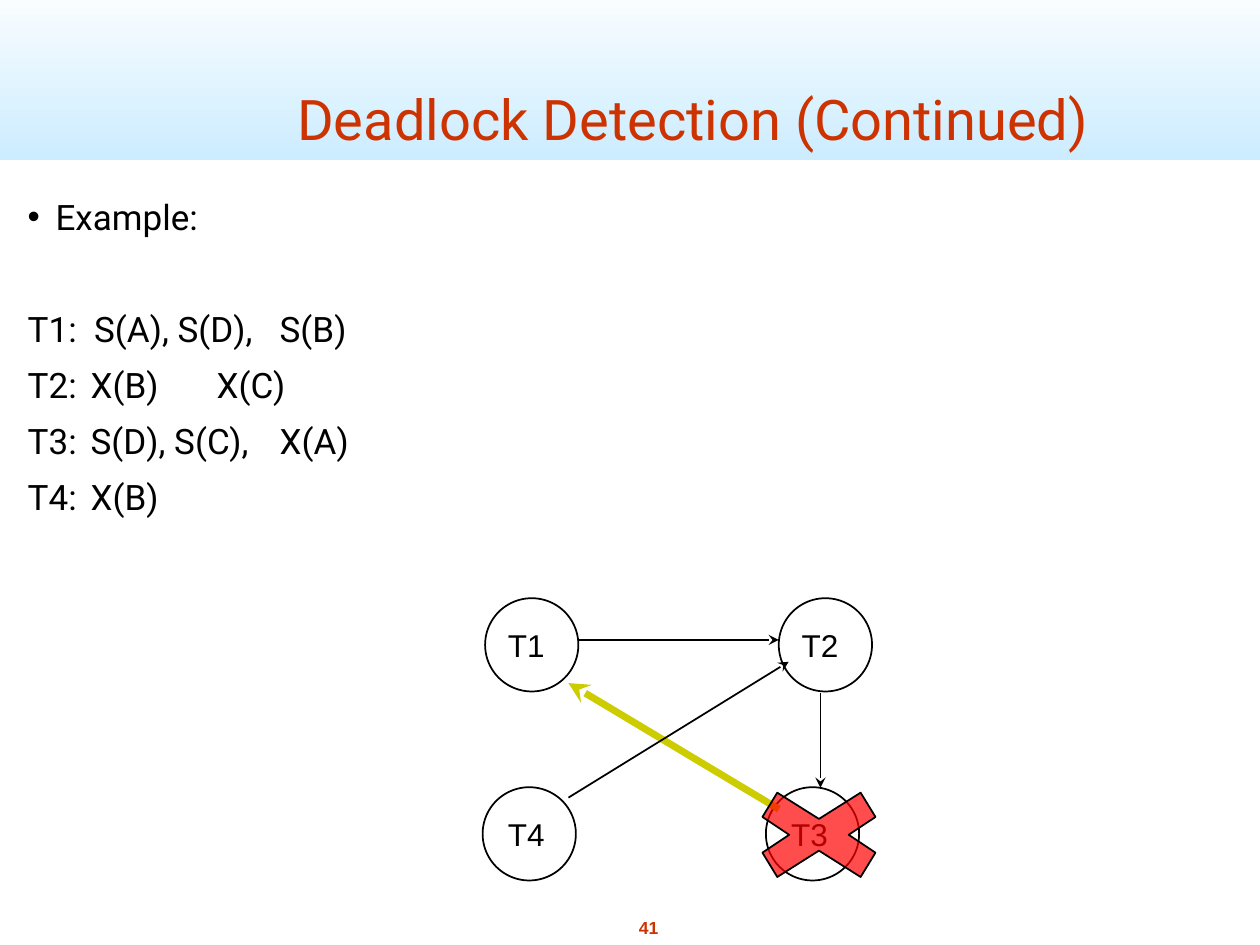
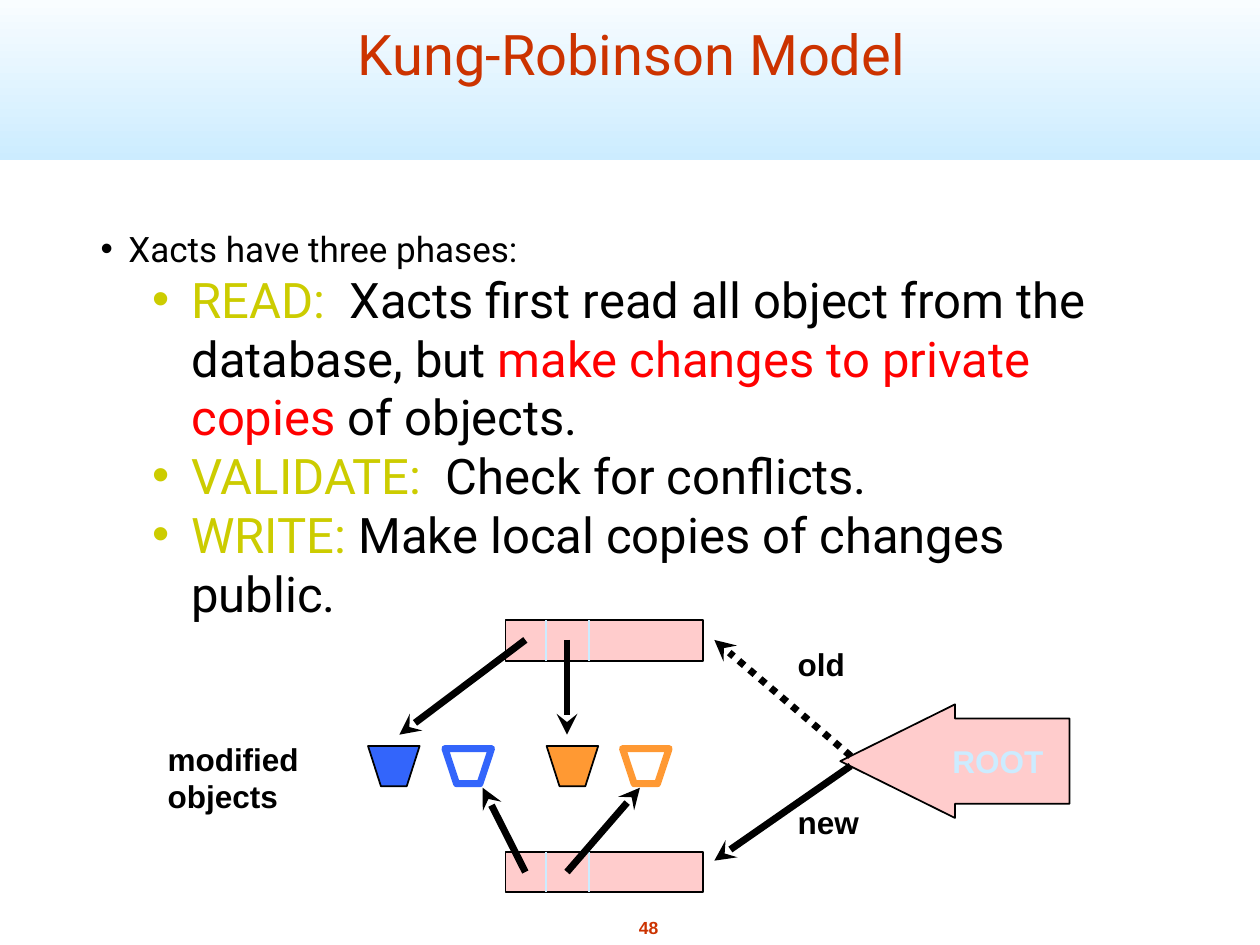
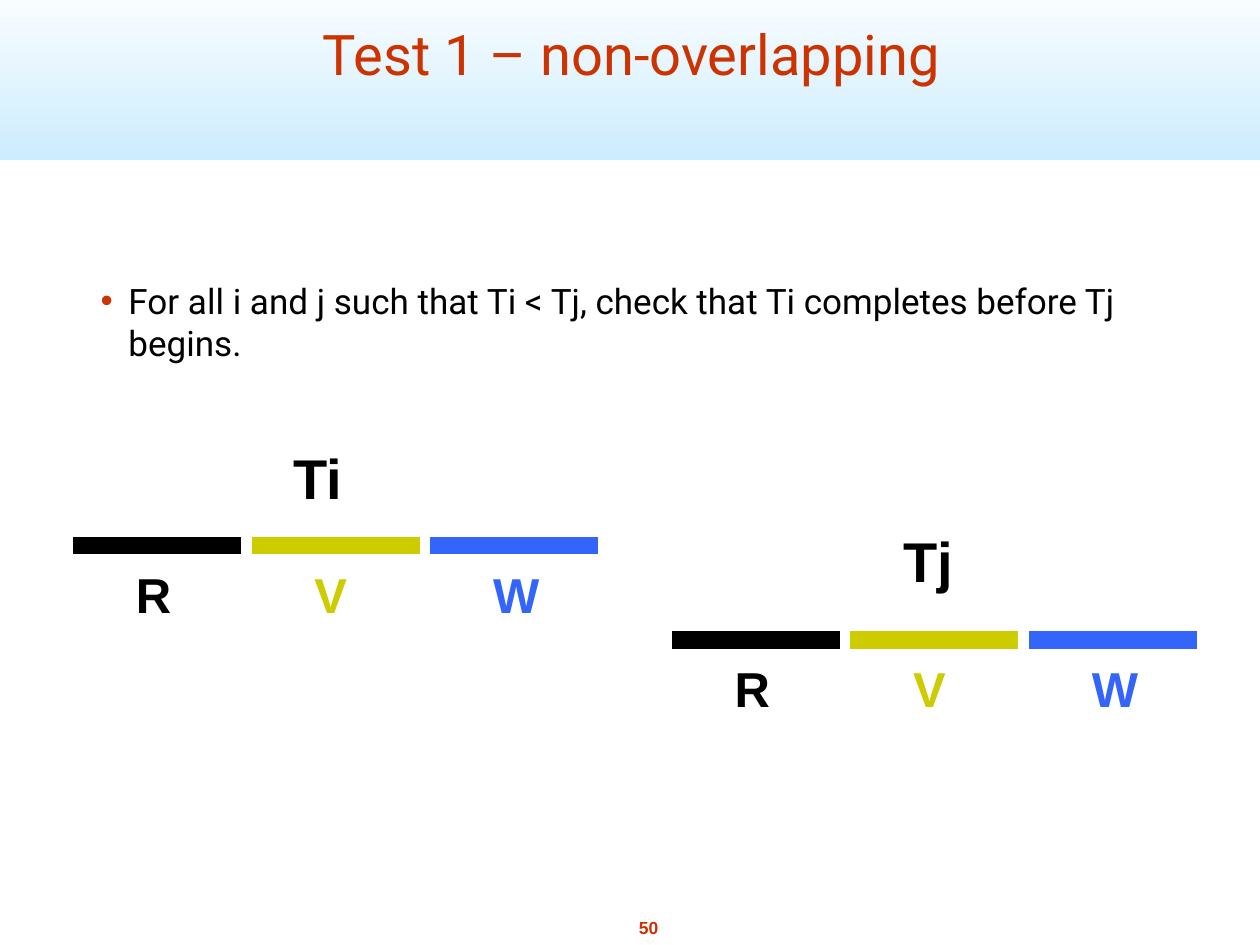
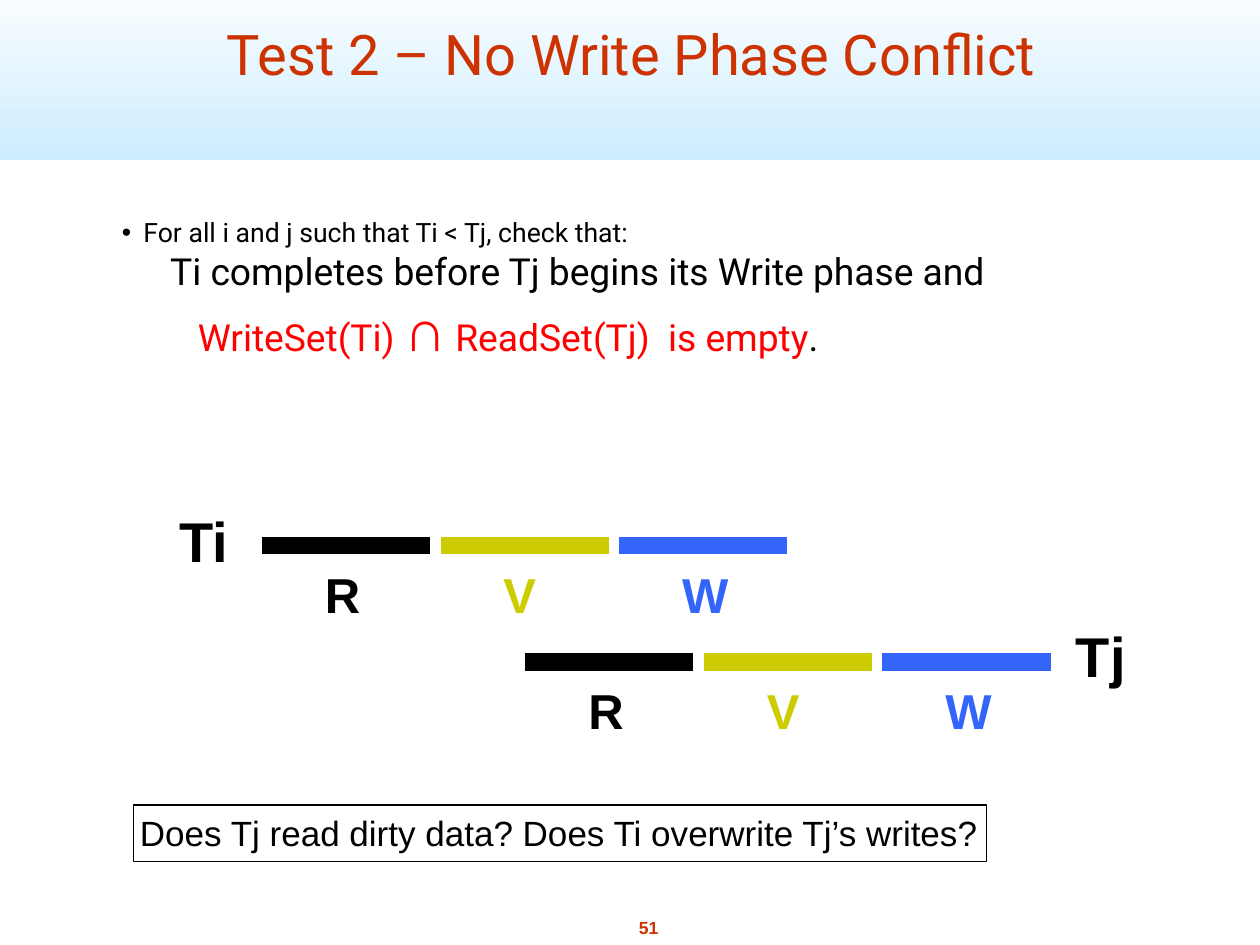
from lxml import etree
from pptx import Presentation
from pptx import util as u
from pptx.dml.color import RGBColor
from pptx.enum import dml, shapes, text
from pptx.oxml import ns

Cm, Pt = u.Cm, u.Pt
COLORS = {
    "black": "000000", "white": "FFFFFF", "title": "CC3300", "sky": "CCECFF",
    "yellow": "CCCC00", "red": "FF0000", "blue": "3365FB", "orange": "FF9933",
    "pink": "FFCCCC",
}
HEADING_FONT, LABEL_FONT = "Roboto", "Arial"
INSET = Cm(0.13)
TITLE_BOX = (1.52, 0.18, 22.43, 1.7)
LABEL_HEIGHT = 1.02


def rgb(name):
    """Return the named colour."""
    return RGBColor.from_string(COLORS[name])


def add_child(parent, tag, **attributes):
    """Append a DrawingML element to parent."""
    return etree.SubElement(parent, ns.qn(tag), attributes)


def style_font(font, color=None, size=None, name=None, bold=None):
    """Set those font properties that are given."""
    if color:
        font.color.rgb = rgb(color)
    if size:
        font.size = Pt(size)
    if name:
        font.name = name
    if bold is not None:
        font.bold = bold


def style_shape(shape, fill=None, line=None, width=1):
    """Give a shape a flat fill and outline; None means none."""
    shape.shadow.inherit = False
    if fill:
        shape.fill.solid()
        shape.fill.fore_color.rgb = rgb(fill)
    else:
        shape.fill.background()
    if line:
        shape.line.color.rgb = rgb(line)
        shape.line.width = Pt(width)
    else:
        shape.line.fill.background()


def add_preset(slide, kind, box, **style):
    """Add a styled preset shape in box."""
    shape = slide.shapes.add_shape(kind, *map(Cm, box))
    style_shape(shape, **style)
    return shape


def add_outline(slide, points, **style):
    """Add a closed polygon through points."""
    points = [(Cm(x), Cm(y)) for x, y in points]
    builder = slide.shapes.build_freeform(*points[0])
    builder.add_line_segments(points[1:], close=True)
    shape = builder.convert_to_shape()
    style_shape(shape, **style)
    return shape


def add_line(slide, start, end, color="black", width=1, arrow=False, dash=None):
    """Draw a straight line, with an arrowhead at its end if wanted."""
    connector = slide.shapes.add_connector(
        shapes.MSO_CONNECTOR.STRAIGHT, *map(Cm, (*start, *end)))
    connector.line.color.rgb = rgb(color)
    connector.line.width = Pt(width)
    if dash:
        connector.line.dash_style = dash
    properties = connector.element.spPr
    if arrow:
        add_child(properties.find(ns.qn("a:ln")), "a:tailEnd", type="stealth")
    add_child(properties, "a:effectLst")


def set_frame(frame, wrap=True, anchor=text.MSO_ANCHOR.TOP):
    """Set insets, wrapping and anchor of a text frame."""
    frame.margin_left = frame.margin_right = INSET
    frame.margin_top = frame.margin_bottom = INSET
    frame.word_wrap = wrap
    frame.vertical_anchor = anchor
    frame.auto_size = (text.MSO_AUTO_SIZE.NONE if wrap
                       else text.MSO_AUTO_SIZE.SHAPE_TO_FIT_TEXT)


def fill_paragraph(paragraph, runs, before=0, left=0, first=0, bullet=None,
                   tabs=(), align=text.PP_ALIGN.LEFT, **font):
    """Write runs, each a string or (string, font changes), in one paragraph."""
    paragraph.alignment = align
    paragraph.space_before = Pt(before)
    properties = paragraph._p.get_or_add_pPr()
    properties.set("marL", str(Cm(left)))
    properties.set("indent", str(Cm(first)))
    if bullet:
        add_child(add_child(properties, "a:buClr"), "a:srgbClr", val=COLORS[bullet])
        add_child(properties, "a:buFont", typeface=LABEL_FONT)
        add_child(properties, "a:buChar", char="\u2022")
    else:
        add_child(properties, "a:buNone")
    if tabs:
        stops = add_child(properties, "a:tabLst")
        for stop in tabs:
            add_child(stops, "a:tab", pos=str(Cm(stop)), algn="l")
    style_font(paragraph.font, **font)
    for item in runs:
        words, changes = (item, {}) if isinstance(item, str) else item
        run = paragraph.add_run()
        run.text = words
        style_font(run.font, **changes)


def add_body(slide, box, paragraphs):
    """Add wrapped body text; each paragraph is (runs, settings)."""
    frame = slide.shapes.add_textbox(*map(Cm, box)).text_frame
    set_frame(frame)
    for index, (runs, settings) in enumerate(paragraphs):
        paragraph = frame.add_paragraph() if index else frame.paragraphs[0]
        fill_paragraph(paragraph, runs, **{
            "name": HEADING_FONT, "size": 20, "color": "black", **settings})


def add_label(slide, box, *lines, color="black", size=18, bold=True, **settings):
    """Add a short label that does not wrap."""
    frame = slide.shapes.add_textbox(*map(Cm, box)).text_frame
    set_frame(frame, wrap=False)
    for index, line in enumerate(lines):
        paragraph = frame.add_paragraph() if index else frame.paragraphs[0]
        fill_paragraph(paragraph, [line], color=color, size=size,
                       name=LABEL_FONT, bold=bold, **settings)


def add_frame_slide(presentation, title, number, title_box=TITLE_BOX):
    """Add a slide with its gradient band, number and title."""
    slide = presentation.slides.add_slide(presentation.slide_layouts[6])
    band = add_preset(slide, shapes.MSO_SHAPE.RECTANGLE, (0, -0.43, 25.4, 3.66))
    band.fill.gradient()
    band.fill.gradient_angle = 90
    for stop, position, color in zip(band.fill.gradient_stops, (0, 1), ("sky", "white")):
        stop.position = position
        stop.color.rgb = rgb(color)
    add_label(slide, (12.73, 18.36, 0.69, 0.69), str(number), color="title",
              size=10, before=6, align=text.PP_ALIGN.CENTER)
    frame = slide.shapes.add_textbox(*map(Cm, title_box)).text_frame
    set_frame(frame, anchor=text.MSO_ANCHOR.BOTTOM)
    fill_paragraph(frame.paragraphs[0], [title], align=text.PP_ALIGN.CENTER,
                   color="title", size=32, name=HEADING_FONT)
    return slide


def add_cross(slide, center):
    """Draw a translucent red cross around center."""
    x, y = center
    right = [(0, -0.32), (0.84, -0.85), (1.14, -0.36), (0.6, 0),
             (1.14, 0.36), (0.84, 0.85)]
    offsets = right + [(-dx, -dy) for dx, dy in right]
    cross = add_outline(slide, [(x + dx, y + dy) for dx, dy in offsets],
                        fill="red", line="black")
    color = cross.element.spPr.find(ns.qn("a:solidFill"))[0]
    add_child(color, "a:alpha", val="70000")


def add_waits_for_graph(slide, left, top):
    """Draw the transactions, who waits for whom, and the aborted one."""
    diameter, lower = 1.88, 3.81
    nodes = [("T1", 0.08, 0, 0.41), ("T2", 6.0, 0, 6.33),
             ("T4", 0.03, lower, 0.41), ("T3", 5.74, lower, 6.12)]
    for _, x, y, _ in nodes:
        add_preset(slide, shapes.MSO_SHAPE.OVAL,
                   (left + x, top + y, diameter, diameter), line="black")
    for name, _, y, label_x in nodes:
        add_label(slide, (left + label_x, top + y + 0.43, 1.02, LABEL_HEIGHT),
                  name, bold=False)
    waits = [((1.98, 0.84), (6.0, 0.84), "black", 1),
             ((6.84, 1.91), (6.84, 3.82), "black", 1),
             ((6.0, 4.25), (1.76, 1.71), "yellow", 4),
             ((1.76, 4.02), (6.2, 1.28), "black", 1)]
    for (x1, y1), (x2, y2), color, width in waits:
        add_line(slide, (left + x1, top + y1), (left + x2, top + y2),
                 color, width, arrow=True)
    add_cross(slide, (left + 6.81, top + 4.77))


def add_record(slide, left, top):
    """Draw a page directory with two dividers."""
    height = 0.82
    add_preset(slide, shapes.MSO_SHAPE.RECTANGLE, (left, top, 3.99, height),
               fill="pink", line="black")
    for offset in (0.82, 1.68):
        add_line(slide, (left + offset, top), (left + offset, top + height), "sky")


def add_bucket(slide, box, **style):
    """Draw an object as a trapezoid that narrows downward."""
    left, top, width, height = box
    inset = width / 4
    add_outline(slide, [(left, top), (left + inset, top + height),
                        (left + width - inset, top + height),
                        (left + width, top)], **style)


def add_versions(slide, left, top):
    """Draw the root with its old and new directories and their objects."""
    for y in (0, 4.67):
        add_record(slide, left + 6.94, top + y)
    for color, solid_x, open_x in (("blue", 4.17, 5.72), ("orange", 7.77, 9.3)):
        add_bucket(slide, (left + solid_x, top + 2.54, 1.04, 0.81),
                   fill=color, line="black")
        add_bucket(slide, (left + open_x, top + 2.59, 0.94, 0.71),
                   line=color, width=4)
    root = add_preset(slide, shapes.MSO_SHAPE.LEFT_ARROW,
                      (left + 13.69, top + 1.7, 4.62, 2.29),
                      fill="pink", line="black")
    root.adjustments[0], root.adjustments[1] = 0.75, 1.01
    set_frame(root.text_frame, anchor=text.MSO_ANCHOR.MIDDLE)
    fill_paragraph(root.text_frame.paragraphs[0], ["ROOT"], color="sky", size=18,
                   name=LABEL_FONT, bold=True, align=text.PP_ALIGN.CENTER)
    pointers = [((7.34, 0.4), (4.8, 2.31), None),
                ((8.18, 0.4), (8.18, 2.31), None),
                ((7.34, 5.08), (6.48, 3.38), None),
                ((8.18, 5.08), (9.65, 3.38), None),
                ((13.9, 2.74), (11.15, 0.4), dml.MSO_LINE.ROUND_DOT),
                ((13.9, 2.94), (11.15, 4.85), None)]
    for (x1, y1), (x2, y2), dash in pointers:
        add_line(slide, (left + x1, top + y1), (left + x2, top + y2),
                 width=4, arrow=True, dash=dash)
    add_label(slide, (left + 12.7, top + 0.38, 1.24, LABEL_HEIGHT), "old")
    add_label(slide, (left + 12.7, top + 3.55, 1.52, LABEL_HEIGHT), "new")
    add_label(slide, (left, top + 2.28, 2.95, 1.8), "modified", "objects")


def add_phases(slide, left, top, name, name_x, name_y):
    """Draw read, validate and write bars; the name is offset from their start."""
    length, pitch = 3.39, 3.6
    phases = [("R", "black", 1.02), ("V", "yellow", 0.94), ("W", "blue", 1.22)]
    for index, (letter, color, width) in enumerate(phases):
        x = left + index * pitch
        add_line(slide, (x, top), (x + length, top), color, 10)
        add_label(slide, (x + 1.14, top + 0.25, width, 1.45), letter,
                  color=color, size=28)
    add_label(slide, (left + name_x, top + name_y, 1.28, 1.6), name, size=32)


def build_deadlock(presentation):
    """Build the deadlock detection slide."""
    slide = add_frame_slide(presentation, "Deadlock Detection (Continued)", 41,
                            (3.18, 0, 21.59, 3.18))
    schedule = [("T1:  S(A), S(D),\tS(B)", (7.0,)),
                ("T2:\tX(B)\tX(C)", (5.6, 12.26)),
                ("T3:\tS(D), S(C),\tX(A)", (10.85, 19.0)),
                ("T4:\tX(B)", (16.81,))]
    add_body(slide, (0.43, 3.81, 24.56, 11.43), [
        (["Example:"], dict(before=8, left=0.56, first=-0.56, bullet="black")),
        *(([line], dict(before=8 if index else 40, tabs=tabs))
          for index, (line, tabs) in enumerate(schedule))])
    add_waits_for_graph(slide, 9.7, 12.06)


def build_model(presentation):
    """Build the slide on the three phases."""
    slide = add_frame_slide(presentation, "Kung-Robinson Model", 48)
    phase = dict(left=1.83, first=-0.79, bullet="yellow", size=28)
    yellow, red = dict(color="yellow"), dict(color="red")
    add_body(slide, (1.9, 4.45, 21.59, 11.43), [
        (["Xacts have three phases:"],
         dict(before=8, left=0.56, first=-0.56, bullet="black")),
        ([("READ:  ", yellow), "Xacts first read all object from the database, but ",
          ("make changes to private copies", red), " of objects."], phase),
        ([("VALIDATE:  ", yellow), "Check for conflicts."], phase),
        ([("WRITE:", yellow), " Make local copies of changes public."], phase)])
    add_versions(slide, 3.25, 12.5)


def build_first_test(presentation):
    """Build the slide on non-overlapping transactions."""
    slide = add_frame_slide(presentation, "Test 1 \u2013 non-overlapping", 50)
    add_body(slide, (1.9, 5.5, 21.59, 3.0), [
        (["For all i and j such that Ti < Tj, check that Ti completes before Tj begins."],
         dict(before=8, left=0.56, first=-0.56, bullet="title"))])
    add_phases(slide, 13.54, 12.9, "Tj", 4.54, -2.41)
    add_phases(slide, 1.47, 11.0, "Ti", 4.32, -2.19)


def build_second_test(presentation):
    """Build the slide on write phase conflicts."""
    slide = add_frame_slide(presentation, "Test 2 \u2013 No Write Phase Conflict", 51)
    add_body(slide, (2.33, 4.23, 23.07, 2.97), [
        (["For all i and j such that Ti < Tj, check that:"],
         dict(before=6, left=0.43, first=-0.43, bullet="black", size=15.2)),
        (["Ti completes before Tj begins its Write phase and"],
         dict(left=0.61, first=0.36, size=21.3)),
        (["WriteSet(Ti) ", ("\u2229", dict(size=33.5, name=LABEL_FONT)),
          " ReadSet(Tj)  is empty", (".", dict(color="black"))],
         dict(left=0.61, first=0.92, size=21.3, color="red"))])
    add_phases(slide, 10.59, 13.34, "Tj", 10.97, -0.94)
    add_phases(slide, 5.28, 11.0, "Ti", -1.8, -0.92)
    question = add_preset(slide, shapes.MSO_SHAPE.RECTANGLE,
                          (2.69, 16.23, 17.2, 1.14), line="black")
    set_frame(question.text_frame, wrap=False)
    fill_paragraph(question.text_frame.paragraphs[0],
                   ["Does Tj read dirty data? Does Ti overwrite Tj\u2019s writes?"],
                   color="black", size=20, name=LABEL_FONT)


def main():
    """Build and save the presentation."""
    presentation = Presentation()
    presentation.slide_width, presentation.slide_height = Cm(25.4), Cm(19.05)
    for build in (build_deadlock, build_model, build_first_test, build_second_test):
        build(presentation)
    presentation.save("out.pptx")


main()
